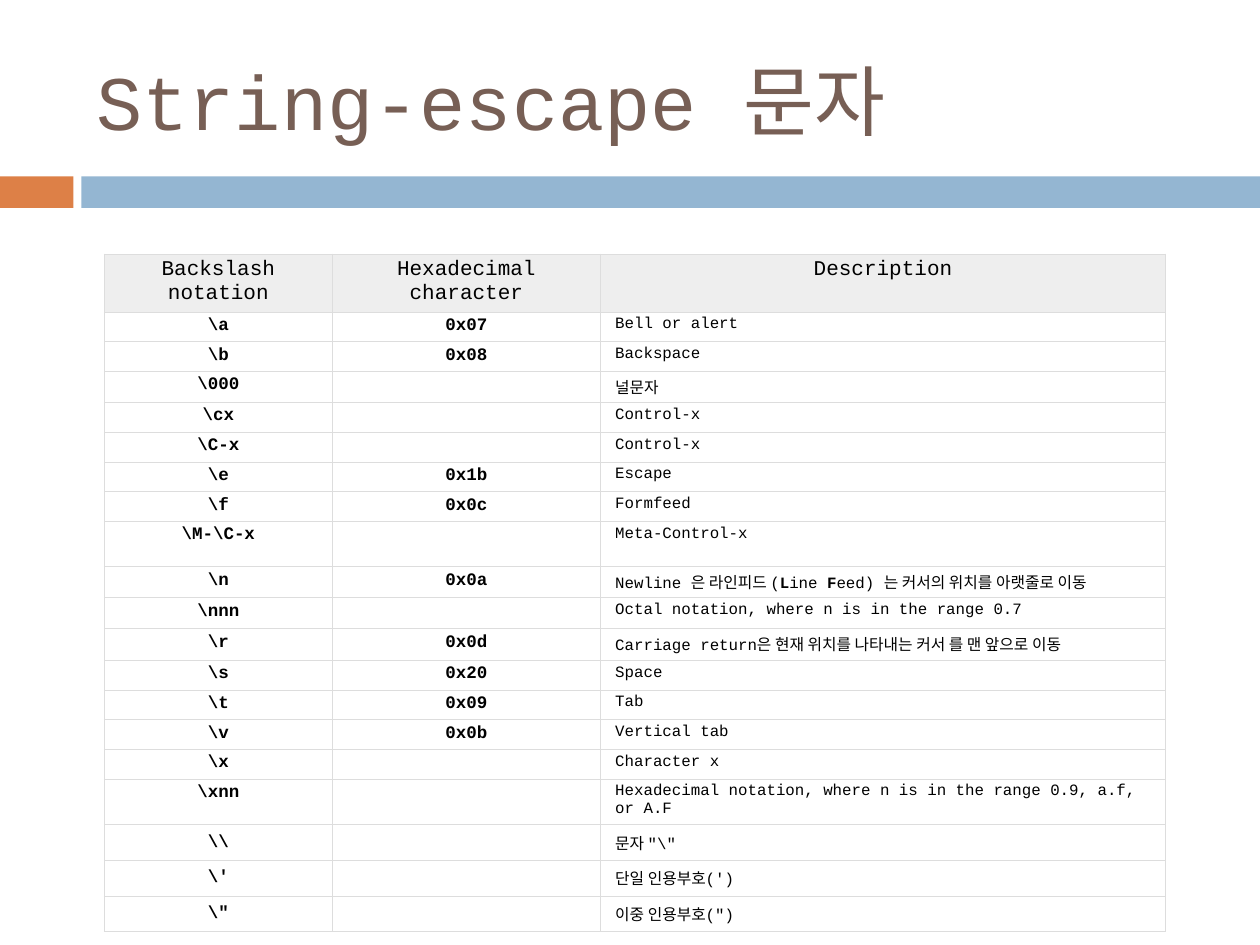
from lxml import etree
from pptx import Presentation
from pptx.dml.color import RGBColor
from pptx.enum.shapes import MSO_SHAPE
from pptx.enum.text import MSO_ANCHOR, PP_ALIGN
from pptx.oxml.ns import qn
from pptx.util import Pt

RECTANGLE = MSO_SHAPE.RECTANGLE
TOP, MIDDLE = MSO_ANCHOR.TOP, MSO_ANCHOR.MIDDLE
LEFT, CENTER = PP_ALIGN.LEFT, PP_ALIGN.CENTER

HEADINGS = ["Backslash notation", "Hexadecimal character", "Description"]
# notation, hexadecimal, description (asterisks switch bold), row height
ESCAPES = [
    ("\\a", "0x07", "Bell or alert", 17),
    ("\\b", "0x08", "Backspace", 17),
    ("\\000", "", "널문자", 17.7),
    ("\\cx", "", "Control-x", 17),
    ("\\C-x", "", "Control-x", 17),
    ("\\e", "0x1b", "Escape", 17),
    ("\\f", "0x0c", "Formfeed", 17),
    ("\\M-\\C-x", "", "Meta-Control-x", 26),
    ("\\n", "0x0a", "Newline 은 라인피드 (*L*ine *F*eed) 는 커서의 위치를 아랫줄로 이동", 17.7),
    ("\\nnn", "", "Octal notation, where n is in the range 0.7", 17.7),
    ("\\r", "0x0d", "Carriage return은 현재 위치를 나타내는 커서 를 맨 앞으로 이동", 18),
    ("\\s", "0x20", "Space", 17),
    ("\\t", "0x09", "Tab", 17),
    ("\\v", "0x0b", "Vertical tab", 17),
    ("\\x", "", "Character x", 17),
    ("\\xnn", "", "Hexadecimal notation, where n is in the range 0.9, a.f, or A.F", 25),
    ("\\\\", "", "문자 \"\\\"", 20.4),
    ("\\'", "", "단일 인용부호(')", 20.4),
    ("\\\"", "", "이중 인용부호(\")", 20.4),
]
QUOTED = ("\\\\", "\\'", "\\\"")


def color(value):
    return RGBColor.from_string(value)


class SlideBuilder:
    font = "Courier New"
    border_color = "DDDDDD"
    border_width = 0.6

    def __init__(self, slide):
        self.slide = slide

    def style(self, run, size, ink="000000", bold=False):
        run.font.name = self.font
        run.font.size = Pt(size)
        run.font.bold = bold
        run.font.color.rgb = color(ink)

    def bar(self, left, top, width, height, fill):
        bar = self.slide.shapes.add_shape(
            RECTANGLE, Pt(left), Pt(top), Pt(width), Pt(height))
        bar.shadow.inherit = False
        bar.fill.solid()
        bar.fill.fore_color.rgb = color(fill)
        bar.line.fill.background()

    def title(self, text, left, top, width, height):
        frame = self.slide.shapes.add_textbox(
            Pt(left), Pt(top), Pt(width), Pt(height)).text_frame
        frame.word_wrap = True
        frame.vertical_anchor = MIDDLE
        frame.text = text
        self.style(frame.paragraphs[0].runs[0], 44, "775F55")

    def table(self, left, top, widths, heights):
        table = self.slide.shapes.add_table(
            len(heights), len(widths), Pt(left), Pt(top),
            Pt(sum(widths)), Pt(sum(heights))).table
        table.first_row = table.horz_banding = False
        for column, width in zip(table.columns, widths):
            column.width = Pt(width)
        for row, height in zip(table.rows, heights):
            row.height = Pt(height)
        return table

    def cell(self, cell, text, size, bold=False, align=CENTER, anchor=TOP,
             margins=(2.2, 2.2, 2.2, 2.2), fill=None):
        (cell.margin_left, cell.margin_top,
         cell.margin_right, cell.margin_bottom) = map(Pt, margins)
        cell.vertical_anchor = anchor
        paragraph = cell.text_frame.paragraphs[0]
        paragraph.alignment = align
        for index, part in enumerate(text.split("*") if text else []):
            run = paragraph.add_run()
            run.text = part
            self.style(run, size, bold=bold or index % 2 == 1)
        if not text:
            # keeps an empty cell from stretching its row
            etree.SubElement(paragraph._p, qn("a:endParaRPr"), sz=str(size * 100))
        self.borders(cell)
        if fill:
            cell.fill.solid()
            cell.fill.fore_color.rgb = color(fill)
        else:
            cell.fill.background()

    def borders(self, cell):
        properties = cell._tc.get_or_add_tcPr()
        for index, side in enumerate(("lnL", "lnR", "lnT", "lnB")):
            line = etree.Element(qn(f"a:{side}"), w=str(Pt(self.border_width)))
            solid = etree.SubElement(line, qn("a:solidFill"))
            etree.SubElement(solid, qn("a:srgbClr"), val=self.border_color)
            properties.insert(index, line)


def main():
    deck = Presentation()
    deck.slide_width, deck.slide_height = Pt(720), Pt(540)
    builder = SlideBuilder(deck.slides.add_slide(deck.slide_layouts[6]))

    # Title and divider
    builder.bar(0, 100.8, 42, 18, "DD8047")
    builder.bar(46.5, 100.8, 673.5, 18, "94B6D2")
    builder.title("String-escape 문자", 48, 18, 642, 78)

    # Table header
    heights = [32] + [escape[-1] for escape in ESCAPES]
    table = builder.table(59.6, 145.2, [130.3, 153.2, 323], heights)
    for column, heading in enumerate(HEADINGS):
        builder.cell(table.cell(0, column), heading, 12, fill="EEEEEE")

    # Escape sequences
    for row, (notation, code, description, _) in enumerate(ESCAPES, start=1):
        quoted = notation in QUOTED
        anchor = MIDDLE if quoted else TOP
        side, edge = (7.9, 3.6) if quoted else (2.2, 2.2)
        for column, text in enumerate((notation, code)):
            builder.cell(table.cell(row, column), text, 10, bold=True,
                         anchor=anchor, margins=(side, edge, side, edge))
        builder.cell(table.cell(row, 2), description, 9, align=LEFT,
                     anchor=anchor, margins=(8.5, edge, side, edge))

    deck.save("out.pptx")


if __name__ == "__main__":
    main()
